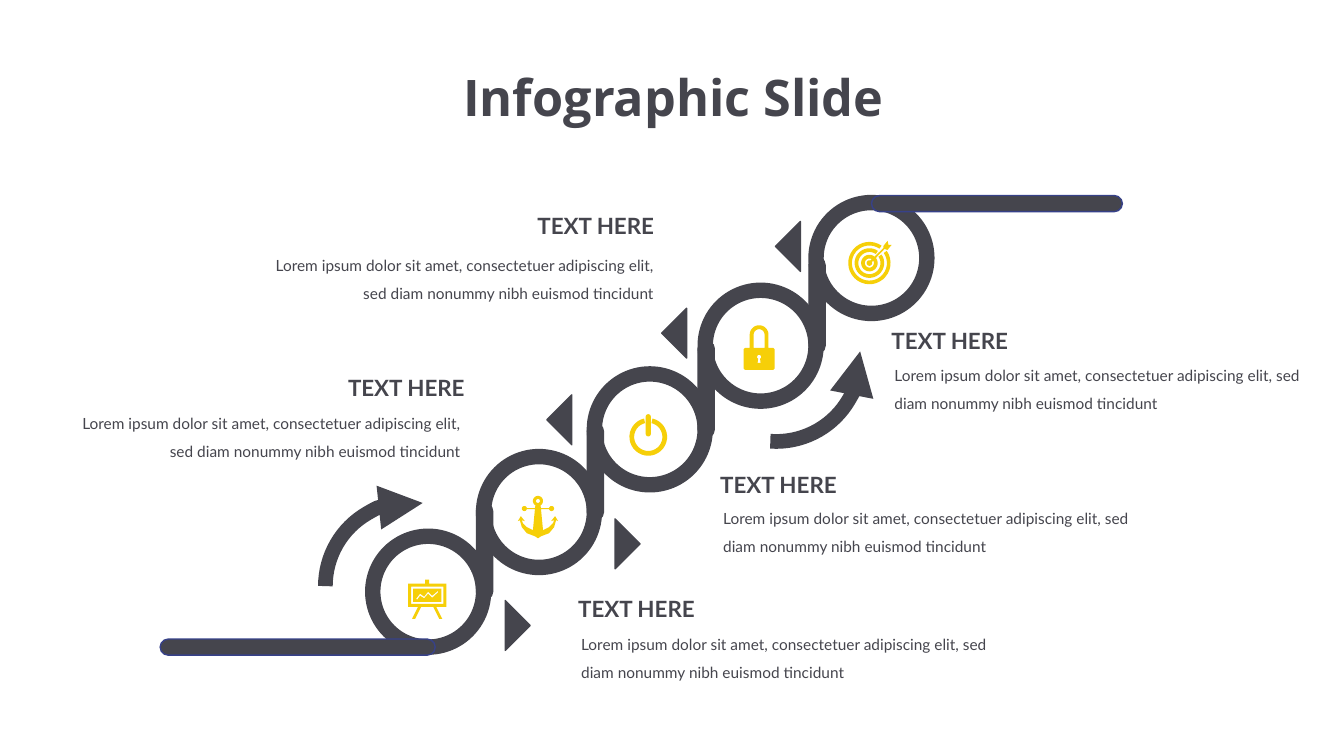
from dataclasses import dataclass
from math import cos, radians, sin

from lxml import etree
from pptx import Presentation
from pptx.dml.color import RGBColor
from pptx.enum.shapes import MSO_SHAPE
from pptx.enum.text import PP_ALIGN
from pptx.oxml.ns import qn
from pptx.util import Inches, Pt

OVAL, PILL = MSO_SHAPE.OVAL, MSO_SHAPE.ROUNDED_RECTANGLE
ARC, WEDGE = MSO_SHAPE.ARC, MSO_SHAPE.RIGHT_TRIANGLE
LEFT, MID, RIGHT = PP_ALIGN.LEFT, PP_ALIGN.CENTER, PP_ALIGN.RIGHT


@dataclass(frozen=True)
class Theme:
    """Colours, fonts and type sizes of the slide."""
    dark: RGBColor = RGBColor(0x45, 0x45, 0x4D)
    gold: RGBColor = RGBColor(0xF6, 0xCF, 0x08)
    blue: RGBColor = RGBColor(0x37, 0x41, 0x89)
    face: str = "Lato"
    top_face: str = "Open Sans"
    top: int = 36
    head: int = 16
    body: int = 11


THEME = Theme()
HEAD = "TEXT HERE"
BODY = ("Lorem ipsum dolor sit amet, consectetuer adipiscing elit, "
        "sed diam nonummy nibh euismod tincidunt")
RINGS = [(37, 53.2), (48, 45.3), (59, 37.1), (70, 28.8), (81, 20.1)]
RING, THICK, POST = 11, 1.6, 9.6
RAILS = [(86.5, 19.4, 24.9), (15.9, 63.4, 27.3)]
ARROWS = [(68.7, 27.1, 356, 94, "headEnd"), (32.3, 49.8, 180, 279, "tailEnd")]
WEDGES = [(77.7, 22.7, 45), (66.4, 31.3, 45), (55, 39.9, 45),
          (59.3, 52.2, 225), (48.4, 60.3, 225)]
LABELS = [(LEFT, 56.4, 58.6, 56.7, 61.6), (LEFT, 70.5, 46.2, 70.8, 49.1),
          (LEFT, 87.5, 32, 87.8, 34.9), (RIGHT, 19.6, 36.6, 5.9, 39.7),
          (RIGHT, 38.4, 20.6, 25.1, 24)]
WIDTHS = {LEFT: (34.1, 43), RIGHT: (27.5, 40.8)}


def cell(*nums):
    """Turn grid columns or rows of a tenth of an inch into lengths."""
    return [Inches(num / 10) for num in nums]


def arc(x, y, size, start=0, end=360):
    """Return points along a circle between two angles."""
    turns = [radians(start + (end - start) * i / 32) for i in range(33)]
    return [(x + size * cos(t), y + size * sin(t)) for t in turns]


def band(size, hole, start, end):
    """Return the outline of an open ring about the centre."""
    return arc(0, 0, size, start, end) + arc(0, 0, hole, end, start)


def box(x, y):
    """Return a centred box from its half width and top and bottom."""
    return [(-x, y[0]), (x, y[0]), (x, y[1]), (-x, y[1])]


def twin(half):
    """Close a right half with its mirrored left half."""
    return half + [(-x, y) for x, y in reversed(half)]


def board():
    """Return the outlines of the chart board."""
    edge = [(.2, -1.5), (.2, -1.1), (1.9, -1.1), (1.9, 1.2), (.9, 1.2),
            (1.5, 2.4), (1.2, 2.4), (.6, 1.2)]
    trend = [(-1.1, .4), (-.7, -.1), (-.3, .2), (.1, -.3), (.5, .1),
             (1.1, -.4), (1.1, -.25), (.5, .3), (.1, -.1), (-.3, .35),
             (-.7, .1), (-1, .5)]
    return [twin(edge), box(1.6, (-.8, .9)), box(1.4, (-.6, .7)), trend]


def anchor():
    """Return the outlines of the anchor."""
    half = (arc(0, -1.5, .5, -90, 60) + [(.3, -.8), (1.1, -.8)]
            + arc(1.35, -.75, .25, 190, 530)
            + [(1.1, -.7), (.3, -.7), (.5, 1.4), (1.1, 1.1), (1.5, .7),
               (1.6, .4), (1.3, .5), (1.7, 0), (2, .5), (1.8, .4),
               (1.6, 1.1), (1.1, 1.7), (.3, 2), (0, 2.2)])
    return [twin(half), arc(0, -1.5, .2)]


def power():
    """Return the outlines of the power sign."""
    bar = arc(0, -2, .25, -180, 0) + arc(0, -.3, .25, 0, 180)
    return [band(1.87, 1.4, -77, 257), bar]


def lock():
    """Return the outlines of the padlock."""
    case = arc(0, -1.3, .93, -90, 0) + [
        (.93, 0), (1.4, 0), (1.55, .15), (1.55, 2.05), (1.4, 2.2)]
    gap = arc(0, -1.3, .54, -90, 0) + [(.54, 0)]
    key = [(.1, .7), (.2, .85), (.2, 1), (.1, 1.1), (.15, 1.5)]
    return [twin(case), twin(gap), twin(key)]


def target():
    """Return the outlines of the target and its dart."""
    bands = [band(size, hole, -35, 305)
             for size, hole in ((2.1, 1.74), (1.47, 1.1), (.82, .45))]
    dart = arc(0, 0, .27, 0, 270) + [
        (.1, -.25), (1.4, -1.5), (1.4, -1.7), (1.8, -2.2), (1.9, -1.8),
        (2.2, -1.8), (1.8, -1.3), (1.5, -1.4), (.25, -.1)]
    return bands + [dart]


def shape(slide, kind, spot, line, fill=THEME.dark, edge=THEME.dark):
    """Add a preset shape with its fill and line."""
    item = slide.shapes.add_shape(kind, *cell(*spot))
    item.shadow.inherit = False
    if fill is None:
        item.fill.background()
    else:
        item.fill.solid()
        item.fill.fore_color.rgb = fill
    item.line.color.rgb = edge
    item.line.width = Pt(line)
    return item


def pill(slide, x, y, wide, high, edge=THEME.dark):
    """Add a bar with fully round ends."""
    item = shape(slide, PILL, (x, y, wide, high), 1, edge=edge)
    item.adjustments[0] = 0.5


def arrow(slide, x, y, start, end, tip):
    """Add a curved arrow with its tip at one end."""
    item = shape(slide, ARC, (x, y, 16.7, 16.7), 10.5, None)
    item.adjustments[0] = start * 0.6
    item.adjustments[1] = end * 0.6
    line = item.element.spPr.find(qn("a:ln"))
    etree.SubElement(line, qn("a:" + tip), type="triangle")


def icon(slide, x, y, parts):
    """Add a gold icon from outlines about its centre."""
    paths = [[cell(x + dx, y + dy) for dx, dy in part] for part in parts]
    pen = slide.shapes.build_freeform(*paths[0][0])
    for i, path in enumerate(paths):
        if i:
            pen.move_to(*path[0])
        pen.add_line_segments(path[1:], close=True)
    item = pen.convert_to_shape()
    item.shadow.inherit = False
    item.fill.solid()
    item.fill.fore_color.rgb = THEME.gold
    item.line.fill.background()


def text(slide, spot, words, size, side, bold=True, face=THEME.face, gap=1.0):
    """Add a text box of one paragraph."""
    frame = slide.shapes.add_textbox(*cell(*spot)).text_frame
    frame.word_wrap = True
    frame.text = words
    para = frame.paragraphs[0]
    para.alignment = side
    para.line_spacing = gap
    font = para.runs[0].font
    font.name, font.size, font.bold = face, Pt(size), bold
    font.color.rgb = THEME.dark


def label(slide, side, x, y, left, top):
    """Add a heading and the text below it."""
    wide, full = WIDTHS[side]
    text(slide, (left, top, full, 6.5), BODY, THEME.body, side, False, gap=1.5)
    text(slide, (x, y, wide, 3.7), HEAD, THEME.head, side)


def main():
    """Build the slide and save it."""
    deck = Presentation()
    deck.slide_width, deck.slide_height = cell(133.4, 75)
    slide = deck.slides.add_slide(deck.slide_layouts[6])
    for i, (x, y) in enumerate(RINGS):
        shape(slide, OVAL, (x, y, RING, RING), 11, None)
        if i < len(RINGS) - 1:
            pill(slide, x + RING - 0.7, y - 3.3, THICK, POST)
    for x, y, wide in RAILS:
        pill(slide, x, y, wide, THICK, THEME.blue)
    for spot in ARROWS:
        arrow(slide, *spot)
    for x, y, turn in WEDGES:
        shape(slide, WEDGE, (x, y, 3.5, 3.5), 1).rotation = turn
    icon(slide, 42.4, 59, board())
    icon(slide, 53.4, 51.2, anchor())
    icon(slide, 64.35, 43.35, power())
    icon(slide, 75.35, 34.5, lock())
    icon(slide, 86.3, 26.1, target())
    for spot in LABELS:
        label(slide, *spot)
    text(slide, (22.3, 6.1, 89.1, 7), "Infographic Slide", THEME.top, MID,
         face=THEME.top_face)
    deck.save("out.pptx")


if __name__ == "__main__":
    main()
